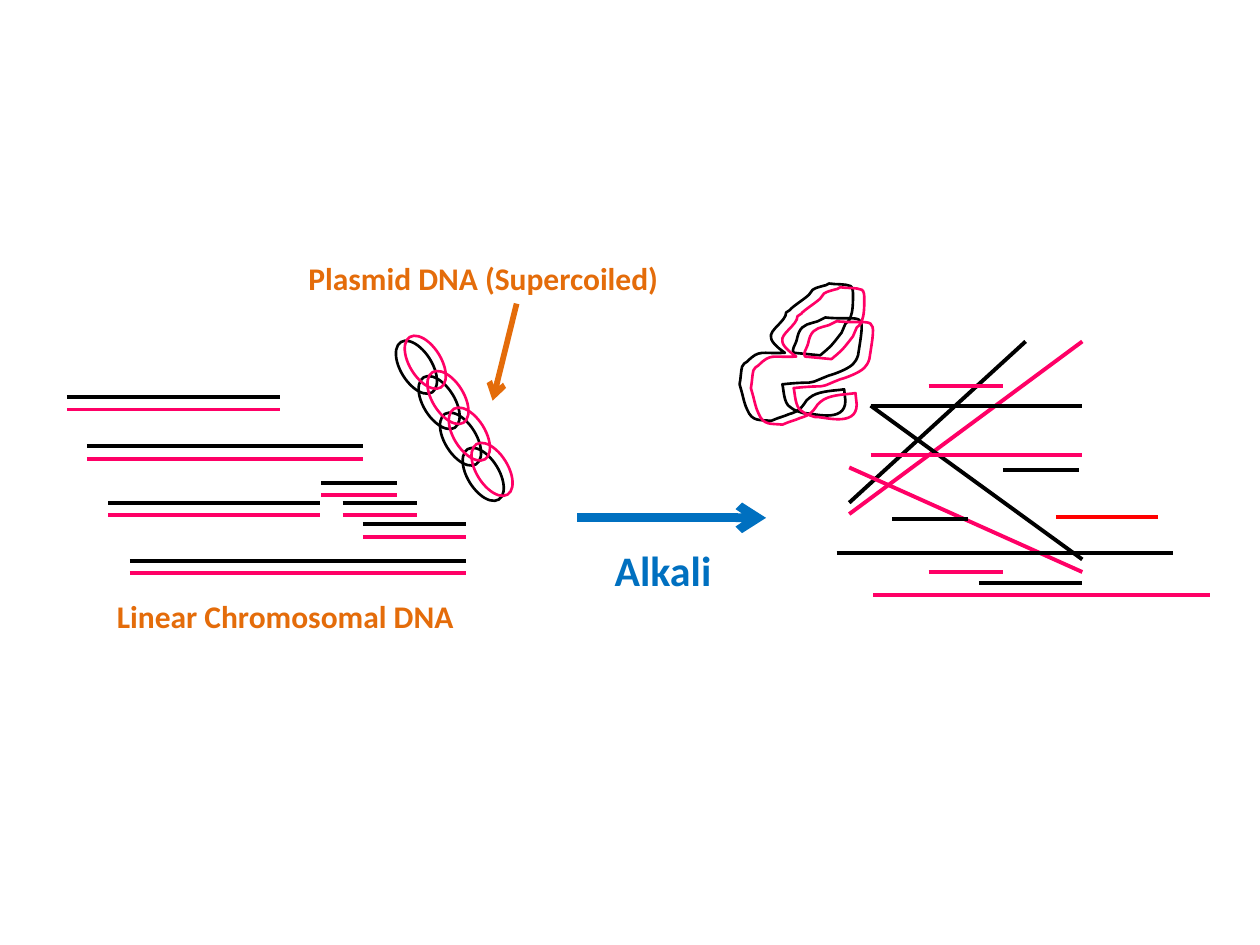
from lxml.etree import SubElement
from pptx import Presentation
from pptx.dml.color import RGBColor
from pptx.enum.shapes import MSO_CONNECTOR, MSO_SHAPE
from pptx.enum.text import MSO_AUTO_SIZE
from pptx.oxml.ns import qn
from pptx.util import Pt

EMU_PER_PX = 9144  # 100 px to the inch
BLACK, PINK, RED, ORANGE, BLUE = "000000", "FF0066", "FF0000", "E46C0A", "0070C0"

# Double-stranded fragments: left, right, top
STRAND_GAP = 10
DOUBLE_STRANDS = [
    (69, 288, 354), (86, 254, 399), (103, 370, 445), (255, 315, 383),
    (272, 331, 399), (288, 370, 416), (53, 222, 315),
]
# Separated strands: x1, y1, x2, y2, colour
SINGLE_STRANDS = [
    (674, 399, 814, 271, BLACK), (674, 408, 859, 271, PINK),
    (691, 322, 859, 444, BLACK), (674, 371, 859, 454, PINK),
    (664, 439, 931, 439, BLACK), (693, 472, 960, 472, PINK),
    (796, 373, 856, 373, BLACK), (737, 454, 796, 454, PINK),
    (708, 412, 768, 412, BLACK), (737, 306, 796, 306, PINK),
    (777, 463, 859, 463, BLACK), (838, 410, 919, 410, RED),
    (691, 322, 859, 322, BLACK), (691, 361, 859, 361, PINK),
]

# Supercoiled plasmid: a chain of tilted rings per strand
RING_COUNT, RING_WIDTH, RING_HEIGHT, RING_TILT = 4, 47, 25, 58.3
RING_STEP_X, RING_STEP_Y = 17.67, 28.33
RING_CHAINS = [(307, 279, BLACK), (314, 275, PINK)]

# Denatured plasmid: two numbers are a line's end, six are a Bézier curve
COIL_START = (627, 246)
COIL_SEGMENTS = [
    (628, 244, 639, 237, 642, 234), (643, 233, 644, 231, 645, 230),
    (648, 228, 650, 228, 653, 227), (655, 227, 656, 226, 658, 225),
    (664, 226, 670, 225, 675, 227), (677, 228, 677, 232, 677, 234),
    (677, 240, 677, 247, 675, 252), (675, 254, 673, 255, 671, 257),
    (670, 259, 669, 262, 668, 264), (658, 277, 659, 275, 651, 282),
    (630, 280),
    (628, 278, 631, 274, 632, 271), (633, 268, 633, 266, 634, 264),
    (637, 257, 643, 257, 649, 255),
    (655, 252),
    (686, 255, 687, 244, 681, 282), (680, 285, 679, 287, 677, 289),
    (673, 293, 662, 297, 658, 298),
    (653, 300),
    (639, 306, 649, 302, 621, 305), (622, 309, 622, 320, 627, 323),
    (630, 326, 638, 328, 638, 328), (643, 327, 671, 337, 671, 318),
    (671, 315, 670, 312, 670, 309), (664, 310, 652, 310, 645, 314),
    (643, 315, 641, 317, 640, 318), (638, 321, 636, 324, 634, 325),
    (631, 328, 627, 328, 623, 330),
    (617, 332), (612, 334),
    (603, 333, 597, 335, 593, 325), (591, 321, 590, 316, 589, 312),
    (587, 305),
    (588, 300, 588, 295, 589, 291), (590, 289, 591, 288, 593, 287),
    (603, 277, 604, 281, 623, 280), (620, 278, 612, 272, 612, 268),
    (610, 262, 624, 255, 624, 248),
    (627, 246),
]
COIL_OFFSETS = [(0, 0, BLACK), (9, 3, PINK)]


def px(length):
    return round(length * EMU_PER_PX)


def colour(value):
    return RGBColor.from_string(value)


class DiagramBuilder:
    font_name = "Calibri"
    strand_width = 2.25
    outline_width = 1.5

    def __init__(self, slide):
        self.slide = slide
        self.shapes = slide.shapes

    def line(self, x1, y1, x2, y2, line_colour, width=strand_width, arrow=False):
        connector = self.shapes.add_connector(
            MSO_CONNECTOR.STRAIGHT, px(x1), px(y1), px(x2), px(y2))
        connector.line.color.rgb = colour(line_colour)
        connector.line.width = Pt(width)
        if arrow:
            SubElement(connector.line._get_or_add_ln(), qn("a:tailEnd"), type="arrow")
        SubElement(connector._element.spPr, qn("a:effectLst"))

    def outline(self, shape, line_colour):
        shape.shadow.inherit = False
        shape.fill.background()
        shape.line.color.rgb = colour(line_colour)
        shape.line.width = Pt(self.outline_width)

    def ring_chain(self, left, top, line_colour):
        group = self.shapes.add_group_shape()
        for index in reversed(range(RING_COUNT)):
            ring = group.shapes.add_shape(
                MSO_SHAPE.OVAL,
                px(round(left + index * RING_STEP_X)),
                px(round(top + index * RING_STEP_Y)),
                px(RING_WIDTH), px(RING_HEIGHT))
            ring.rotation = RING_TILT
            self.outline(ring, line_colour)

    def curve(self, start, segments, dx, dy, line_colour):
        """Draw a closed outline, turning six-number segments into Bézier curves."""
        builder = self.shapes.build_freeform(
            start[0] + dx, start[1] + dy, scale=EMU_PER_PX)
        ends = [segment[-2:] for segment in segments]
        builder.add_line_segments([(x + dx, y + dy) for x, y in ends], close=True)
        shape = builder.convert_to_shape()
        left = min(x for x, _ in ends)
        top = min(y for _, y in ends)
        path_lines = list(shape._element.iter(qn("a:lnTo")))
        for segment, path_line in zip(segments, path_lines):
            if len(segment) == 6:
                path_line.tag = qn("a:cubicBezTo")
                controls = [segment[:2], segment[2:4]]
                for index, (x, y) in enumerate(controls):
                    point = SubElement(
                        path_line, qn("a:pt"), x=str(x - left), y=str(y - top))
                    path_line.insert(index, point)
        self.outline(shape, line_colour)

    def label(self, text, left, top, width, height, text_colour, size=18, wrap=True):
        box = self.shapes.add_textbox(px(left), px(top), px(width), px(height))
        frame = box.text_frame
        frame.word_wrap = wrap
        frame.auto_size = MSO_AUTO_SIZE.SHAPE_TO_FIT_TEXT
        paragraph = frame.paragraphs[0]
        paragraph.text = text
        font_format = {"name": self.font_name, "size": Pt(size), "bold": True}
        for attribute, value in font_format.items():
            setattr(paragraph.font, attribute, value)
        paragraph.font.color.rgb = colour(text_colour)


def main():
    presentation = Presentation()
    presentation.slide_width, presentation.slide_height = px(1000), px(750)
    slide = presentation.slides.add_slide(presentation.slide_layouts[6])
    diagram = DiagramBuilder(slide)

    for left, right, top in DOUBLE_STRANDS:
        diagram.line(left, top, right, top, BLACK)
        diagram.line(left, top + STRAND_GAP, right, top + STRAND_GAP, PINK)
    for strand in SINGLE_STRANDS:
        diagram.line(*strand)
    diagram.label("Linear Chromosomal DNA", 83, 469, 340, 40, ORANGE)

    for chain in RING_CHAINS:
        diagram.ring_chain(*chain)
    for offset in COIL_OFFSETS:
        diagram.curve(COIL_START, COIL_SEGMENTS, *offset)
    diagram.label("Plasmid DNA (Supercoiled)", 235, 201, 350, 40, ORANGE)

    diagram.line(458, 411, 608, 411, BLUE, width=5, arrow=True)
    diagram.label("Alkali", 478, 427, 97, 50, BLUE, size=24, wrap=False)
    diagram.line(410, 241, 391, 318, ORANGE, width=3.25, arrow=True)

    presentation.save("out.pptx")


if __name__ == "__main__":
    main()
